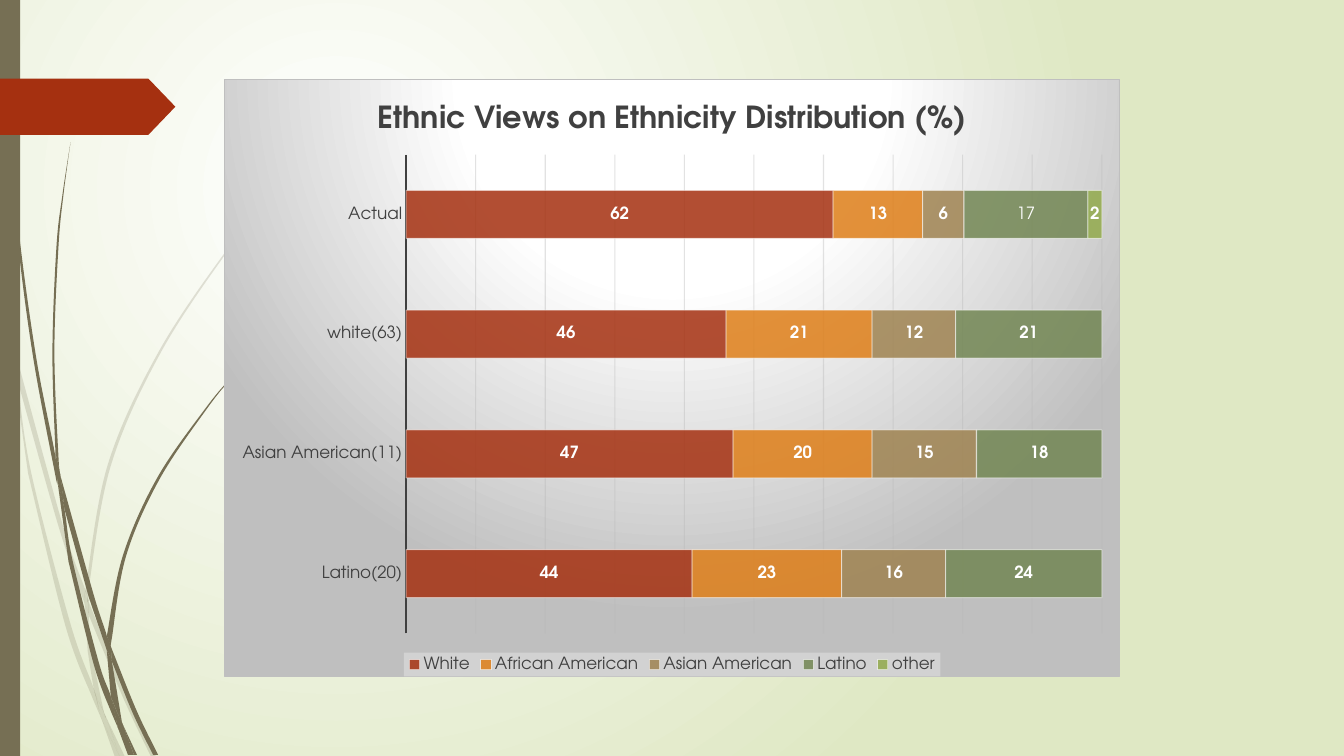
from lxml import etree
from pptx import Presentation
from pptx.chart.data import CategoryChartData
from pptx.dml.color import RGBColor
from pptx.enum.chart import XL_CHART_TYPE, XL_LABEL_POSITION, XL_LEGEND_POSITION, XL_TICK_MARK
from pptx.enum.shapes import MSO_SHAPE
from pptx.oxml import parse_xml
from pptx.oxml.ns import nsdecls, qn
from pptx.util import Cm, Pt

STACKED = XL_CHART_TYPE.BAR_STACKED_100
CENTER = XL_LABEL_POSITION.CENTER
BOTTOM = XL_LEGEND_POSITION.BOTTOM
NO_TICK = XL_TICK_MARK.NONE
RECTANGLE = MSO_SHAPE.RECTANGLE
TAG = MSO_SHAPE.PENTAGON

FONT = "TeX Gyre Adventor"
INK, WHITE, STEM = "404040", "FFFFFF", "766F54"
TITLE = "Ethnic Views on Ethnicity Distribution (%)"
CATEGORIES = ["Latino(20)", "Asian American(11)", "white(63)", "Actual"]
SERIES = [
    ("White", [44, 47, 46, 62], "A53010"),
    ("African American", [23, 20, 21, 13], "DE7E18"),
    ("Asian American", [16, 15, 12, 6], "9F8351"),
    ("Latino", [24, 18, 21, 18], "728653"),
    ("other", [None, None, None, 2], "92AA4C"),
]
ACTUAL_LATINO_LABEL = "17"

# Grass pieces: the two curved sides of each outline, on a grid of GRID cm
GRID = 0.0254
PALE_GRASS = [
    ([(11, 350), (9, 322), (0, 282)], [(0, 299), (10, 344)]),
    ([(17, 376), (58, 522), (84, 599)], [(85, 586), (62, 520), (14, 345)]),
    ([(88, 596), (92, 607), (127, 692), (155, 751)], [(150, 751), (123, 694), (88, 610)]),
    ([(105, 711), (124, 751)], [(119, 751)]),
    ([(11, 350), (17, 376), (31, 469), (70, 619), (93, 683), (99, 707), (101, 714)],
     [(92, 693), (65, 621), (28, 470)]),
    ([(84, 599), (88, 608), (88, 610), (91, 646), (103, 706), (105, 711)],
     [(96, 692), (93, 683), (87, 646)]),
    ([(88, 596), (88, 584), (110, 462), (160, 349), (229, 245), (268, 198), (312, 154)],
     [(312, 153), (268, 197), (228, 244), (158, 348), (107, 461), (85, 584), (85, 586)]),
    ([(101, 714), (119, 751)], [(114, 751)]),
    ([(85, 586), (88, 596), (88, 610)], [(88, 608), (84, 599)]),
    ([(93, 683), (96, 692), (105, 711), (119, 751)], [(101, 714), (99, 707)]),
]
DARK_GRASS = [
    ([(4, 0), (5, 48), (8, 109), (19, 232), (36, 355), (55, 453), (57, 481)],
     [(56, 477), (33, 355), (17, 233), (7, 110), (4, 48), (3, 0)]),
    ([(60, 472), (93, 590), (106, 631), (106, 645)], [(88, 592), (64, 505)]),
    ([(110, 641), (113, 649), (136, 706), (157, 749)], [(152, 749), (132, 708), (111, 656)]),
    ([(57, 477), (64, 505), (72, 556), (98, 657), (110, 691), (117, 722)],
     [(111, 708), (93, 659), (68, 557)]),
    ([(70, 141), (63, 193), (58, 245), (54, 349), (58, 453), (60, 472)],
     [(55, 449), (52, 349), (56, 245), (62, 193), (70, 141)]),
    ([(122, 719), (136, 749)], [(133, 749)]),
    ([(55, 449), (60, 472), (64, 505)], [(57, 477), (55, 453)]),
    ([(260, 344), (231, 373), (204, 405), (156, 474), (122, 551), (106, 631)],
     [(110, 641), (111, 633), (125, 552), (158, 476), (205, 406), (231, 374), (261, 344)]),
    ([(117, 722), (131, 749)], [(127, 749)]),
    ([(106, 645), (109, 651), (111, 656), (121, 716), (122, 719)], [(116, 706), (110, 691)]),
    ([(106, 631), (110, 641), (111, 656)], [(109, 651), (106, 645)]),
    ([(110, 691), (116, 706), (122, 719), (133, 749)], [(130, 749), (117, 722)]),
]


def paint(fill, color, alpha=100):
    """Make a fill solid, with its opacity in percent."""
    fill.solid()
    fill.fore_color.rgb = RGBColor.from_string(color)
    if alpha < 100:
        node = fill._xPr.find(qn("a:solidFill"))[0]
        etree.SubElement(node, qn("a:alpha")).set("val", str(alpha * 1000))


def rule(line, color, width, alpha=100):
    """Set the colour, width in points and opacity of a line."""
    line.width = Pt(width)
    paint(line.fill, color, alpha)


def style(font, size, color, bold=False):
    """Set the typeface, size, colour and weight of a font."""
    font.name, font.size, font.bold = FONT, Pt(size), bold
    font.color.rgb = RGBColor.from_string(color)


def radial(stops, left, top, right, bottom):
    """Return the XML of a circular gradient; positions are percentages."""
    marks = "".join(f'<a:gs pos="{place * 1000}"><a:srgbClr val="{color}"/></a:gs>'
                    for place, color in stops)
    return (f'<a:gradFill {nsdecls("a")} rotWithShape="1"><a:gsLst>{marks}</a:gsLst>'
            f'<a:path path="circle"><a:fillToRect l="{left * 1000}" t="{top * 1000}" '
            f'r="{right * 1000}" b="{bottom * 1000}"/></a:path></a:gradFill>')


def add_properties(parent, content):
    """Put shape properties in front of the text properties of a chart part."""
    xml = f'<c:spPr {nsdecls("c", "a")}>{content}</c:spPr>'
    parent.find(qn("c:txPr")).addprevious(parse_xml(xml))


def finish(shape, color, alpha=100):
    """Give a shape a plain fill without outline or shadow."""
    shape.shadow.inherit = False
    shape.line.fill.background()
    paint(shape.fill, color, alpha)


def bend(steps):
    """Turn the straight steps along one side into smooth Bezier curves."""
    spots = [(int(step[0].get("x")), int(step[0].get("y"))) for step in steps]
    padded = [spots[0], *spots, spots[-1]]
    for step, a, b, c, d in zip(steps[1:], padded, padded[1:], padded[2:], padded[3:]):
        step.tag = qn("a:cubicBezTo")
        controls = [[q + (r - p) / 6 for p, q, r in zip(a, b, c)],
                    [q - (r - p) / 6 for p, q, r in zip(b, c, d)]]
        for place, (x, y) in enumerate(controls):
            step.insert(place, step.makeelement(
                qn("a:pt"), {"x": str(round(x)), "y": str(round(y))}))


def add_grass(page, first, second, alpha):
    """Draw one grass piece between its two sides."""
    corners = [(Cm(x * GRID), Cm(y * GRID)) for x, y in first + second]
    builder = page.shapes.build_freeform(*corners[0], scale=1.0)
    builder.add_line_segments(corners[1:], close=True)
    shape = builder.convert_to_shape()
    steps = [step for step in shape._element.iter(qn("a:moveTo"), qn("a:lnTo"))]
    bend(steps[:len(first)])
    bend(steps[len(first):len(corners)])
    finish(shape, STEM, alpha)


def add_views_chart(page):
    """Add the stacked bars with title, labels and legend."""
    data = CategoryChartData()
    data.categories = CATEGORIES
    for name, values, _ in SERIES:
        data.add_series(name, values)
    chart = page.shapes.add_chart(STACKED, Cm(5.65), Cm(2), Cm(22.58), Cm(15.06), data).chart
    style(chart.font, 10, "000000")
    backdrop = radial([(0, WHITE), (39, WHITE), (100, "BFBFBF")], 50, -80, 50, 180)
    add_properties(chart._chartSpace, backdrop + '<a:ln w="9525"><a:solidFill>'
                   '<a:srgbClr val="BFBFBF"/></a:solidFill></a:ln>')

    chart.has_title = True
    chart.chart_title.include_in_layout = False
    para = chart.chart_title.text_frame.paragraphs[0]
    para.text = TITLE
    style(para.runs[0].font, 21.75, INK, True)

    chart.has_legend = True
    chart.legend.position = BOTTOM
    chart.legend.include_in_layout = False
    style(chart.legend.font, 12, INK)
    add_properties(chart.legend._element, '<a:solidFill><a:srgbClr val="F2F2F2">'
                   '<a:alpha val="39000"/></a:srgbClr></a:solidFill>')

    names, scale = chart.category_axis, chart.value_axis
    names.major_tick_mark = names.minor_tick_mark = NO_TICK
    style(names.tick_labels.font, 12, INK)
    rule(names.format.line, INK, 1.5)
    scale.visible = False
    scale.minimum_scale, scale.maximum_scale, scale.major_unit = 0, 1, 0.1
    scale.has_major_gridlines = True
    rule(scale.major_gridlines.format.line, "B8B8B8", 0.75, 40)

    plot = chart.plots[0]
    plot.gap_width, plot.overlap, plot.vary_by_categories = 150, 100, False
    for series, (_, _, color) in zip(plot.series, SERIES):
        paint(series.format.fill, color, 85)
        rule(series.format.line, WHITE, 0.75, 50)
        labels = series.data_labels
        labels.show_value, labels.position = True, CENTER
        style(labels.font, 12, WHITE, True)
    special = plot.series[3].points[3].data_label
    para = special.text_frame.paragraphs[0]
    para.text = ACTUAL_LATINO_LABEL
    style(para.runs[0].font, 12, WHITE)
    special.position = CENTER


deck = Presentation()
deck.slide_width, deck.slide_height = Cm(33.87), Cm(19.05)
page = deck.slides.add_slide(deck.slide_layouts[6])
paint(page.background.fill, WHITE)
plain = page._element.find(".//" + qn("p:bgPr")).find(qn("a:solidFill"))
plain.getparent().replace(
    plain, parse_xml(radial([(0, WHITE), (100, "DFE8C4")], 50, 50, 100, 100)))

for pieces, alpha in ((PALE_GRASS, 20), (DARK_GRASS, 100)):
    for first, second in pieces:
        add_grass(page, first, second, alpha)
finish(page.shapes.add_shape(RECTANGLE, 0, 0, Cm(0.51), deck.slide_height), STEM)
tag = page.shapes.add_shape(TAG, 0, Cm(1.98), Cm(4.42), Cm(1.42))
tag.adjustments[0] = 0.48
finish(tag, "A53010")
add_views_chart(page)
deck.save("out.pptx")
